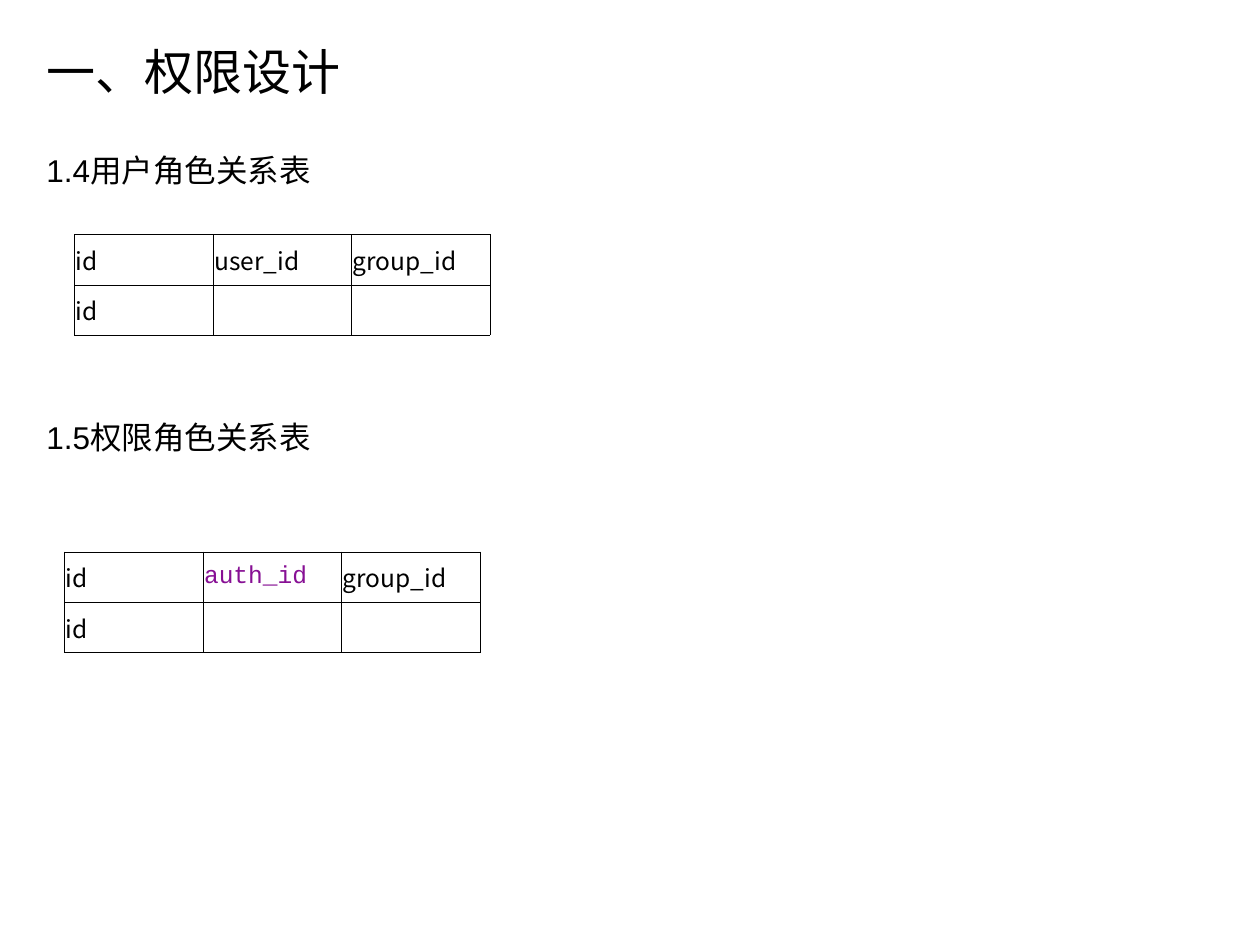
from dataclasses import dataclass

import pptx
import pptx.dml.color
import pptx.enum.text
import pptx.oxml
import pptx.oxml.ns
import pptx.util
from pptx.util import Inches


@dataclass(frozen=True)
class Theme:
    latin_font: str = "Arial"
    chinese_font: str = "Noto Sans CJK SC"
    code_font: str = "Courier New"
    black: str = "000000"
    purple: str = "871094"
    title_size: int = 28
    heading_size: int = 18
    cell_size: int = 14
    border_width: float = 0.23


THEME = Theme()
COLUMN_WIDTH = 1.1
ROW_HEIGHT = 0.4


def add_run(paragraph, text, size, font=THEME.latin_font, color=THEME.black):
    run = paragraph.add_run()
    run.text = text
    run.font.size = pptx.util.Pt(size)
    run.font.name = font
    run.font.color.rgb = pptx.dml.color.RGBColor.from_string(color)
    east_asian = pptx.oxml.parse_xml(
        f'<a:ea {pptx.oxml.ns.nsdecls("a")} typeface="{THEME.chinese_font}"/>'
    )
    run.font._element.append(east_asian)


def fill_text(shape, text, size):
    text_frame = shape.text_frame
    text_frame.word_wrap = True
    text_frame.auto_size = pptx.enum.text.MSO_AUTO_SIZE.SHAPE_TO_FIT_TEXT
    text_frame.vertical_anchor = pptx.enum.text.MSO_ANCHOR.TOP
    paragraph = text_frame.paragraphs[0]
    paragraph.alignment = pptx.enum.text.PP_ALIGN.LEFT
    add_run(paragraph, text, size)


def set_title(slide, text):
    title = slide.shapes.title
    title.left, title.top = Inches(0.27), Inches(0.28)
    title.width, title.height = Inches(3.33), Inches(0.57)
    fill_text(title, text, THEME.title_size)


def add_heading(slide, text, top):
    shape = slide.shapes.add_textbox(
        Inches(0.27), Inches(top), Inches(3.33), Inches(0.4)
    )
    fill_text(shape, text, THEME.heading_size)


def set_borders(cell):
    properties = cell._tc.get_or_add_tcPr()
    width = pptx.util.Pt(THEME.border_width)
    for side in ("lnL", "lnR", "lnT", "lnB"):
        properties.append(pptx.oxml.parse_xml(
            f'<a:{side} {pptx.oxml.ns.nsdecls("a")} w="{width}">'
            f'<a:solidFill><a:srgbClr val="{THEME.black}"/></a:solidFill></a:{side}>'
        ))


def format_cell(cell, text):
    set_borders(cell)
    cell.fill.background()
    cell.margin_left = cell.margin_right = Inches(0.01)
    cell.vertical_anchor = pptx.enum.text.MSO_ANCHOR.MIDDLE
    paragraph = cell.text_frame.paragraphs[0]
    paragraph.font.size = pptx.util.Pt(THEME.cell_size)
    if text == "auth_id":
        add_run(paragraph, text, THEME.cell_size, THEME.code_font, THEME.purple)
    elif text:
        add_run(paragraph, text, THEME.cell_size, THEME.chinese_font)


def add_field_table(slide, rows, left, top):
    row_count, column_count = len(rows), len(rows[0])
    table = slide.shapes.add_table(
        row_count, column_count, Inches(left), Inches(top),
        Inches(COLUMN_WIDTH * column_count), Inches(ROW_HEIGHT * row_count),
    ).table
    table.first_row = False
    table.horz_banding = False
    for row_index, row in enumerate(rows):
        for column_index, text in enumerate(row):
            format_cell(table.cell(row_index, column_index), text)


def main():
    presentation = pptx.Presentation()
    presentation.slide_width = Inches(10)
    presentation.slide_height = Inches(7.5)
    slide = presentation.slides.add_slide(presentation.slide_layouts[5])
    set_title(slide, "一、权限设计")
    add_heading(slide, "1.4用户角色关系表", 1.15)
    add_field_table(slide, [["id", "user_id", "group_id"], ["id", "", ""]], 0.59, 1.86)
    add_heading(slide, "1.5权限角色关系表", 3.27)
    add_field_table(slide, [["id", "auth_id", "group_id"], ["id", "", ""]], 0.51, 4.38)
    presentation.save("out.pptx")


if __name__ == "__main__":
    main()
